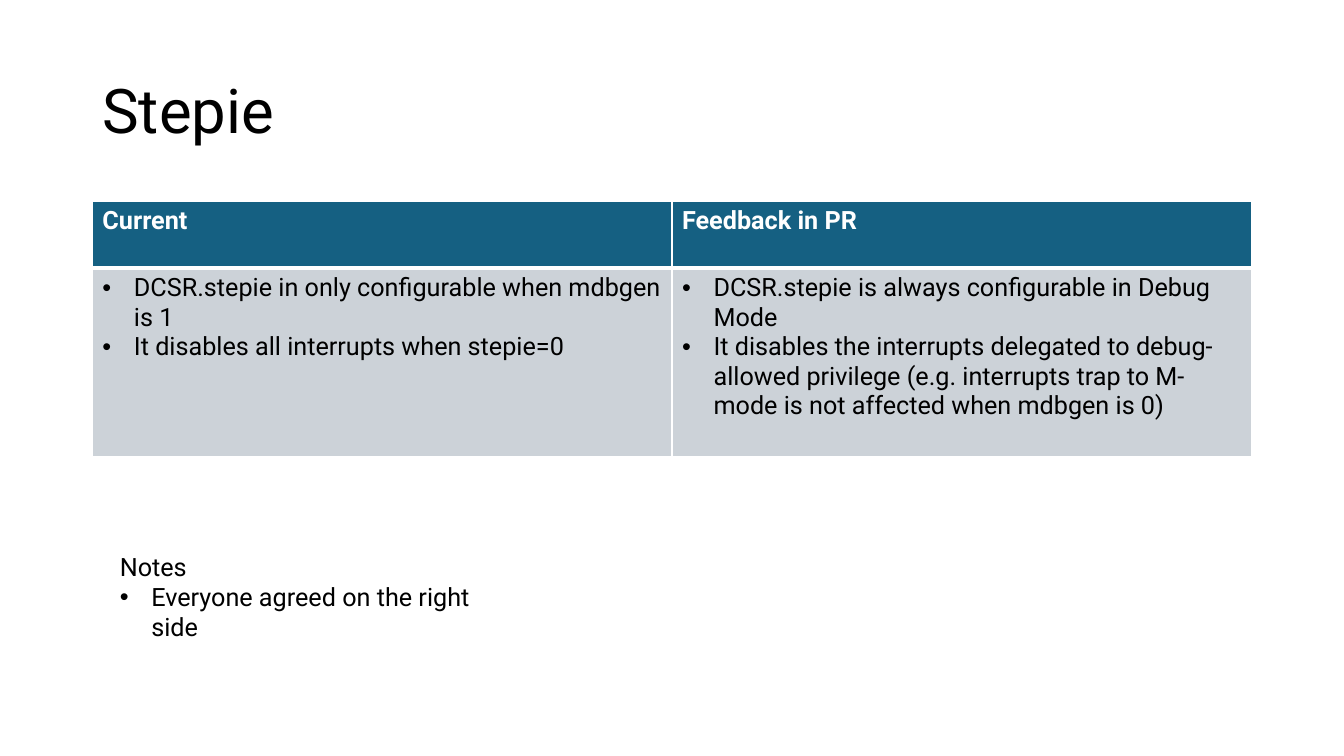
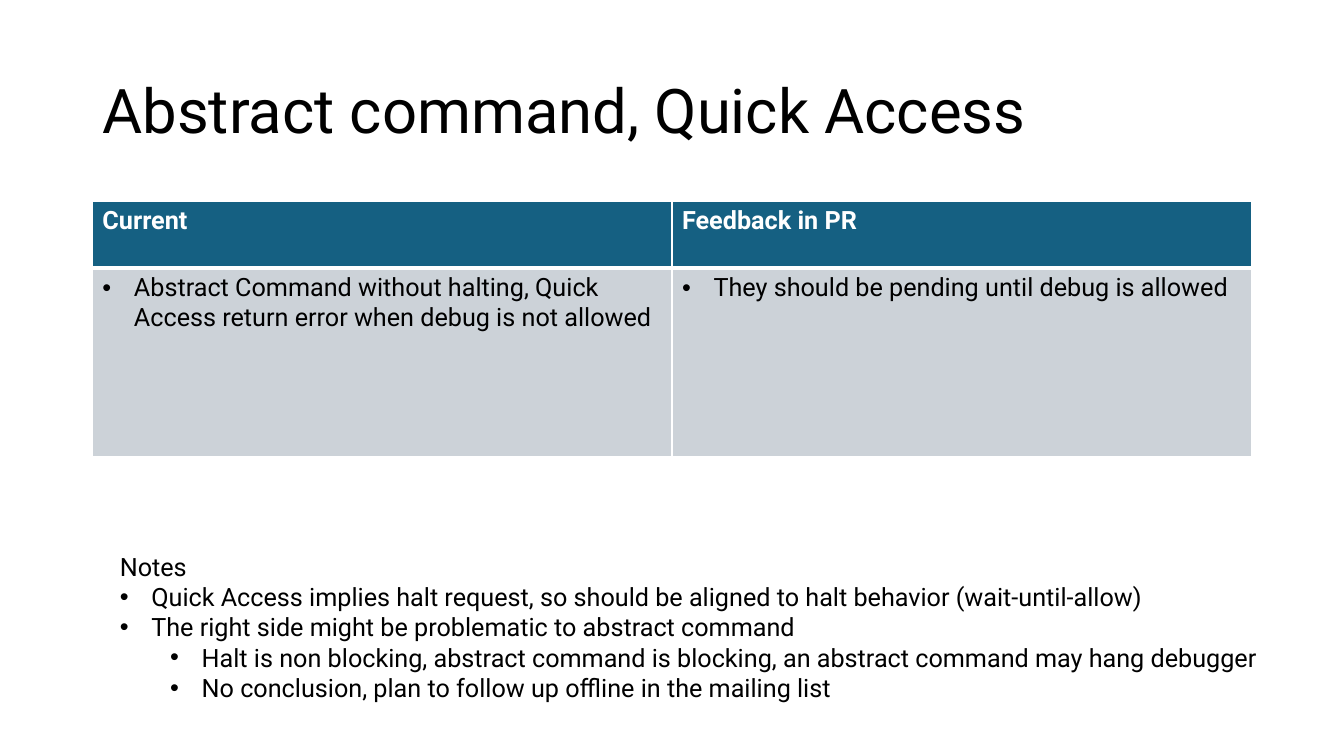
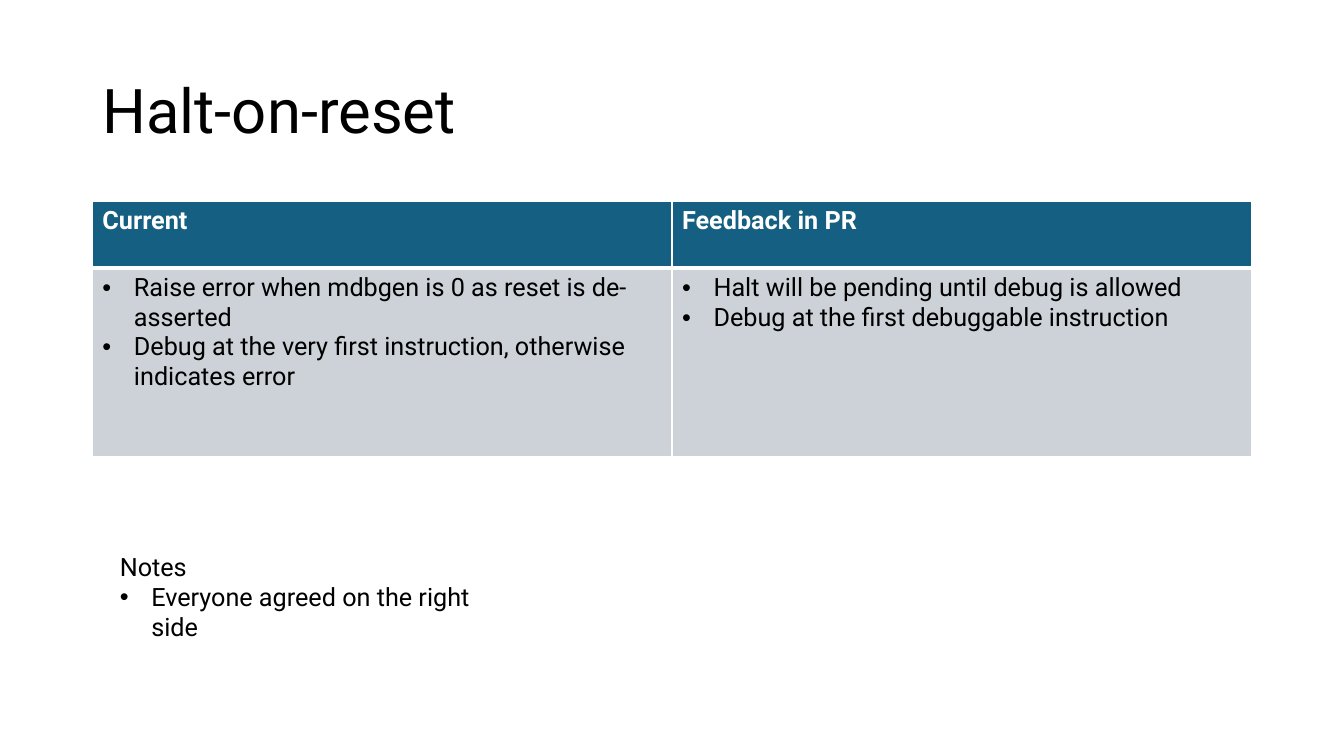
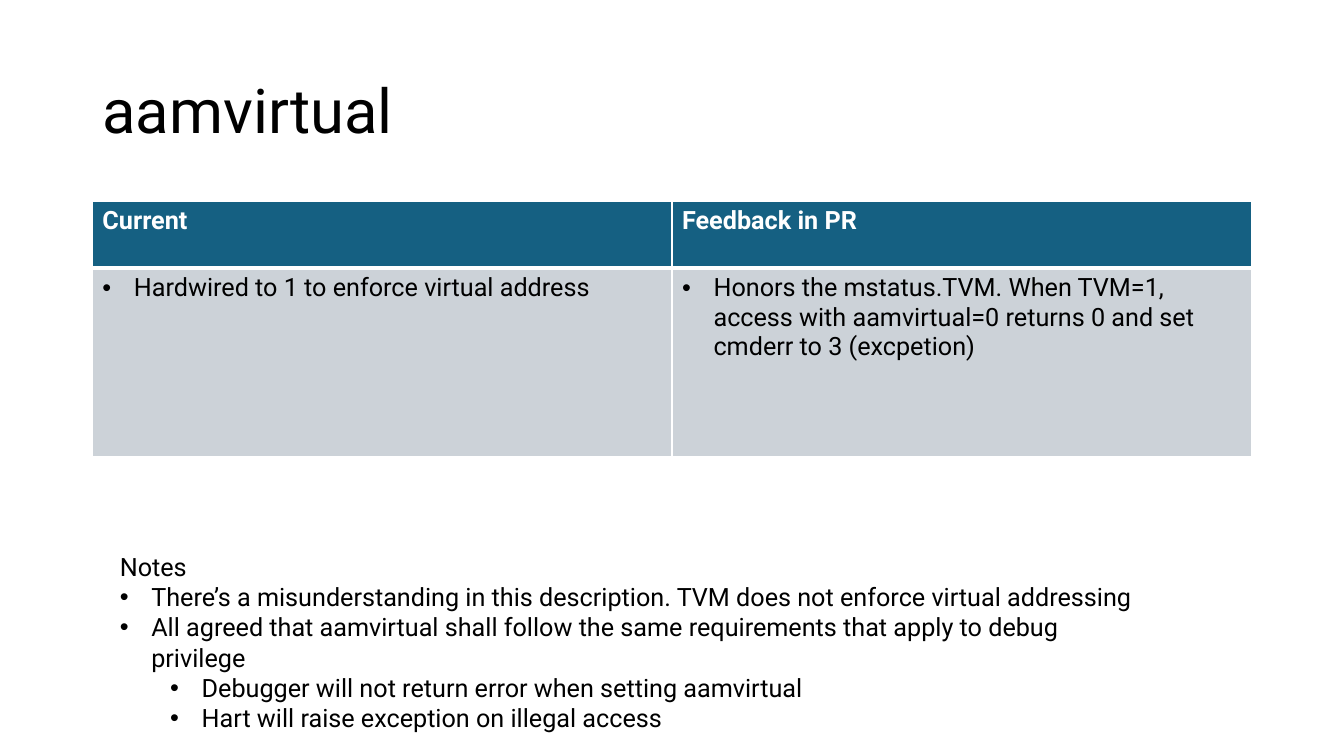
from lxml import etree
from pptx import Presentation
from pptx.dml.color import RGBColor
from pptx.enum import text
from pptx.oxml import ns
from pptx.util import Pt

FONT = "Roboto"
BLACK, WHITE, TEAL, GREY = "000000", "FFFFFF", "156082", "CCD2D8"
HEADS = ("Current", "Feedback in PR")
ROWS = (47.5, 134.65)
TITLE = (66, 28.75, 828, 104.4)
TABLE = (66, 144, 828, sum(ROWS))
AGREED = [(0, "Everyone agreed on the right side")]

SLIDES = [
    ("Stepie",
     (["DCSR.stepie in only configurable when mdbgen is 1",
       "It disables all interrupts when stepie=0"],
      ["DCSR.stepie is always configurable in Debug Mode",
       "It disables the interrupts delegated to debug-allowed privilege "
       "(e.g. interrupts trap to M-mode is not affected when mdbgen is 0)"]),
     (298, 51), AGREED),
    ("Abstract command, Quick Access",
     (["Abstract Command without halting, Quick Access return error "
       "when debug is not allowed"],
      ["They should be pending until debug is allowed"]),
     (838.8, 116.6),
     [(0, "Quick Access implies halt request, so should be aligned to halt "
          "behavior (wait-until-allow)"),
      (0, "The right side might be problematic to abstract command"),
      (1, "Halt is non blocking, abstract command is blocking, "
          "an abstract command may hang debugger"),
      (1, "No conclusion, plan to follow up offline in the mailing list")]),
    ("Halt-on-reset",
     (["Raise error when mdbgen is 0 as reset is de-asserted",
       "Debug at the very first instruction, otherwise indicates error"],
      ["Halt will be pending until debug is allowed",
       "Debug at the first debuggable instruction"]),
     (298, 51), AGREED),
    ("aamvirtual",
     (["Hardwired to 1 to enforce virtual address"],
      ["Honors the mstatus.TVM. When TVM=1, access with aamvirtual=0 "
       "returns 0 and set cmderr to 3 (excpetion)"]),
     (742.3, 116.6),
     [(0, "There’s a misunderstanding in this description. "
          "TVM does not enforce virtual addressing"),
      (0, "All agreed that aamvirtual shall follow the same requirements "
          "that apply to debug privilege"),
      (1, "Debugger will not return error when setting aamvirtual"),
      (1, "Hart will raise exception on illegal access")]),
]


def color(code):
    """Turn a hex string into a colour."""
    return RGBColor.from_string(code)


def style(para, size=18, code=BLACK, bold=False):
    """Set the font of a whole paragraph."""
    font = para.font
    font.name, font.size, font.bold = FONT, Pt(size), bold
    font.color.rgb = color(code)


def bullet(para, level):
    """Give a paragraph a round bullet and a hanging indent."""
    para.level = level
    props = para._p.get_or_add_pPr()
    props.set("marL", str(Pt(22.5 + 36 * level)))
    props.set("indent", str(-Pt(22.5)))
    mark = {"buFont": ("typeface", "Arial"), "buChar": ("char", "•")}
    for at, (tag, (key, value)) in enumerate(mark.items()):
        node = etree.Element(ns.qn("a:" + tag))
        node.set(key, value)
        props.insert(at, node)


def fill_text(frame, items):
    """Write (level, words) items; level None means no bullet."""
    for at, (level, words) in enumerate(items):
        para = frame.add_paragraph() if at else frame.paragraphs[0]
        para.text = words
        style(para)
        if level is not None:
            bullet(para, level)


def paint(cell, code, top, base):
    """Give a cell white borders and a solid fill."""
    props = cell._tc.get_or_add_tcPr()
    for side, width in (("L", 1), ("R", 1), ("T", top), ("B", base)):
        line = etree.SubElement(props, ns.qn("a:ln" + side), w=str(Pt(width)))
        solid = etree.SubElement(line, ns.qn("a:solidFill"))
        etree.SubElement(solid, ns.qn("a:srgbClr"), val=WHITE)
    cell.fill.solid()
    cell.fill.fore_color.rgb = color(code)


def add_title(slide, box, words):
    """Place the slide title."""
    title = slide.shapes.title
    title.left, title.top, title.width, title.height = map(Pt, box)
    frame = title.text_frame
    frame.text = words
    frame.vertical_anchor = text.MSO_ANCHOR.MIDDLE
    para = frame.paragraphs[0]
    para.alignment = text.PP_ALIGN.LEFT
    para.line_spacing = 0.9
    style(para, 44)


def add_table(slide, box, sides):
    """Compare the current state with the feedback."""
    table = slide.shapes.add_table(2, len(HEADS), *map(Pt, box)).table
    for row, height in zip(table.rows, ROWS):
        row.height = Pt(height)
    for col, (head, points) in enumerate(zip(HEADS, sides)):
        table.columns[col].width = Pt(box[2] / len(HEADS))
        top, body = table.cell(0, col), table.cell(1, col)
        paint(top, TEAL, 1, 3)
        top.text = head
        style(top.text_frame.paragraphs[0], code=WHITE, bold=True)
        paint(body, GREY, 3, 1)
        fill_text(body.text_frame, [(0, point) for point in points])


def add_notes(slide, box, items):
    """Place the meeting notes under the table."""
    frame = slide.shapes.add_textbox(*map(Pt, box)).text_frame
    frame.word_wrap = True
    fill_text(frame, [(None, "Notes")] + items)


def main():
    """Build and save the deck."""
    deck = Presentation()
    deck.slide_width, deck.slide_height = Pt(960), Pt(540)
    layout = deck.slide_layouts.get_by_name("Title Only")
    for title, sides, size, notes in SLIDES:
        slide = deck.slides.add_slide(layout)
        add_title(slide, TITLE, title)
        add_table(slide, TABLE, sides)
        add_notes(slide, (78.5, 390.25, *size), notes)
    deck.save("out.pptx")


if __name__ == "__main__":
    main()
